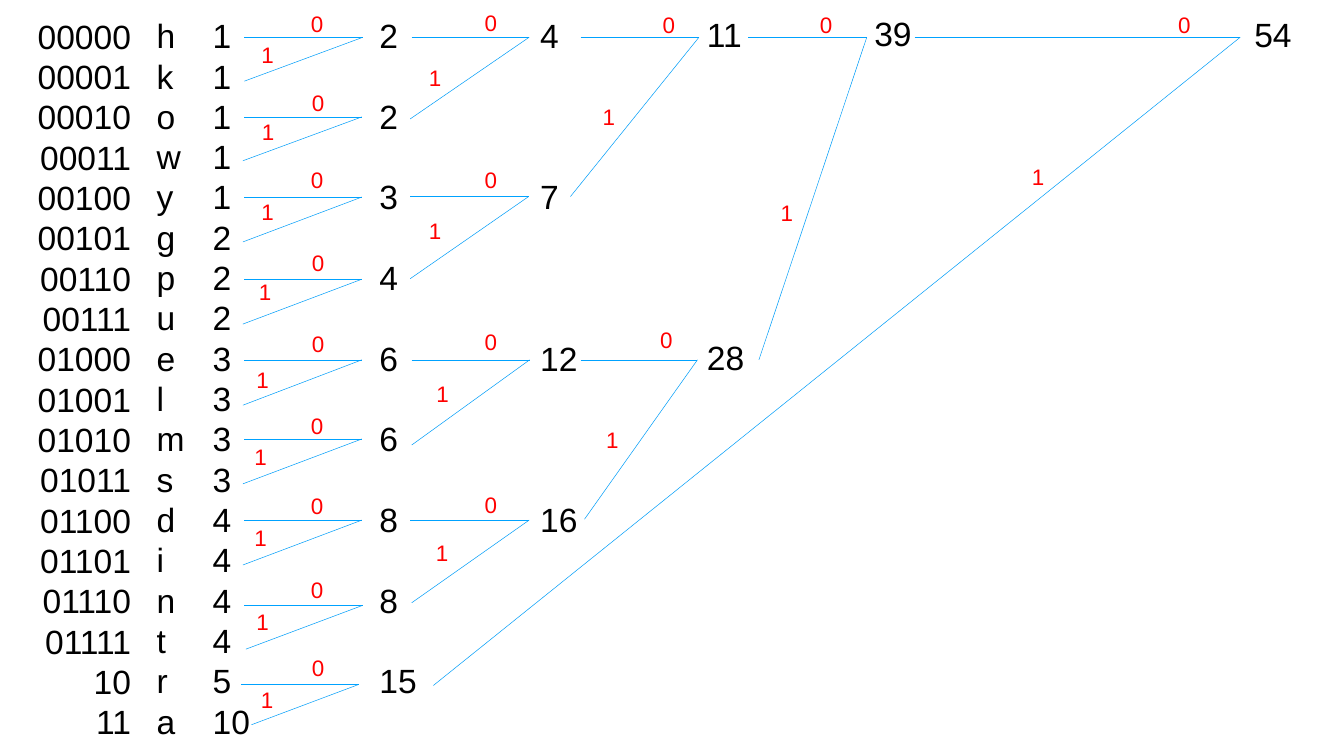
from dataclasses import dataclass

from lxml import etree
from pptx import Presentation
from pptx.dml.color import RGBColor
from pptx.enum import shapes, text
from pptx.oxml import ns
from pptx.util import Inches, Pt


@dataclass(frozen=True)
class Theme:
    """Fonts, type sizes and colours of the slide."""
    font: str = "Arial"
    value_size: float = 48
    row_pitch: float = 57.6
    bit_size: float = 32
    line_width: float = 0.75
    value: RGBColor = RGBColor(0, 0, 0)
    bit: RGBColor = RGBColor(0xFF, 0, 0)
    zero_branch: RGBColor = RGBColor(0x00, 0xA2, 0xFF)
    one_branch: RGBColor = RGBColor(0x00, 0x9E, 0xF9)


THEME = Theme()
COLUMN_HEIGHT = 14.65
TOTAL_WIDTH = 0.9

CODES = [f"{number:05b}" for number in range(16)] + ["10", "11"]
LETTERS = "hkowygpuelmsdintra"
COUNTS = [1, 1, 1, 1, 1, 2, 2, 2, 3, 3, 3, 3, 4, 4, 4, 4, 5, 10]
PAIR_TOTALS = [2, 2, 3, 4, 6, 6, 8, 8, 15]

COLUMNS = [
    (0.67, 0.18, 1.99, dict(enumerate(CODES))),
    (3.05, 0.17, 0.67, dict(enumerate(LETTERS))),
    (4.16, 0.17, 1.05, dict(enumerate(COUNTS))),
    (7.47, 0.17, TOTAL_WIDTH, dict(zip(range(0, 18, 2), PAIR_TOTALS))),
    (10.66, 0.17, TOTAL_WIDTH, {0: 4, 4: 7, 8: 12, 12: 16}),
    (13.97, 0.15, TOTAL_WIDTH, {0: 11, 8: 28}),
    (17.29, 0.13, TOTAL_WIDTH, {0: 39}),
    (24.83, 0.15, TOTAL_WIDTH, {0: 54}),
]

MERGES = [
    (4.85, 7.2, 0.74, (4.85, 1.61), (6.07, 0.16), (5.09, 0.76)),
    (4.85, 7.18, 2.32, (4.82, 3.19), (6.09, 1.71), (5.1, 2.3)),
    (4.85, 7.18, 3.91, (4.82, 4.8), (6.07, 3.24), (5.09, 3.88)),
    (4.85, 7.18, 5.54, (4.82, 6.43), (6.09, 4.89), (5.04, 5.47)),
    (4.85, 7.18, 7.14, (4.82, 8.04), (6.09, 6.5), (4.99, 7.21)),
    (4.85, 7.18, 8.71, (4.82, 9.6), (6.07, 8.13), (4.95, 8.75)),
    (4.85, 7.18, 10.32, (4.82, 11.21), (6.07, 9.71), (4.95, 10.36)),
    (4.85, 7.2, 12.01, (4.88, 12.88), (6.07, 11.39), (4.99, 12.01)),
    (4.78, 7.12, 13.58, (4.99, 14.38), (6.09, 12.93), (5.08, 13.57)),
    (8.17, 10.5, 0.74, (8.14, 2.36), (9.52, 0.13), (8.41, 1.23)),
    (8.14, 10.49, 3.9, (8.14, 5.53), (9.52, 3.24), (8.41, 4.25)),
    (8.17, 10.51, 7.14, (8.17, 8.83), (9.52, 6.47), (8.56, 7.5)),
    (8.14, 10.5, 10.32, (8.17, 11.96), (9.52, 9.69), (8.55, 10.65)),
    (11.52, 13.87, 0.74, (11.32, 3.9), (13.05, 0.17), (11.86, 2)),
    (11.52, 13.84, 7.14, (11.6, 10.3), (13, 6.42), (11.93, 8.41)),
    (14.85, 17.2, 0.74, (15.06, 7.14), (16.17, 0.17), (15.39, 3.91)),
    (18.15, 24.61, 0.74, (8.6, 13.6), (23.28, 0.17), (20.38, 3.19)),
]


def style(paragraph, size, color):
    """Give a paragraph the theme font at one size and colour."""
    paragraph.font.name = THEME.font
    paragraph.font.size = Pt(size)
    paragraph.font.color.rgb = color


def add_column(slide, left, top, width, values):
    """Place values by row number in one column of text."""
    box = slide.shapes.add_textbox(
        Inches(left), Inches(top), Inches(width), Inches(COLUMN_HEIGHT))
    frame = box.text_frame
    frame.word_wrap = False
    frame.margin_left = frame.margin_right = frame.margin_bottom = Inches(0.06)
    frame.margin_top = Inches(0.13)
    frame.text = "\n".join(str(value) for value in values.values())
    previous_row = -1
    for paragraph, row in zip(frame.paragraphs, values):
        style(paragraph, THEME.value_size, THEME.value)
        paragraph.line_spacing = Pt(THEME.row_pitch)
        paragraph.space_before = Pt((row - previous_row - 1) * THEME.row_pitch)
        if values[row] in CODES:
            paragraph.alignment = text.PP_ALIGN.RIGHT
        previous_row = row


def add_branch(slide, start, tip, color):
    """Draw a thin line from a start point to the tip of a merge."""
    branch = slide.shapes.add_connector(
        shapes.MSO_CONNECTOR.STRAIGHT, *map(Inches, start + tip))
    branch.line.color.rgb = color
    branch.line.width = Pt(THEME.line_width)
    etree.SubElement(branch._element.spPr, ns.qn("a:effectLst"))


def add_bit(slide, position, bit):
    """Write the code bit of a branch."""
    box = slide.shapes.add_textbox(*map(Inches, position + (0.65, 0.64)))
    box.text_frame.word_wrap = True
    box.text_frame.text = bit
    style(box.text_frame.paragraphs[0], THEME.bit_size, THEME.bit)


def add_merge(slide, start_x, tip_x, y, lower_start, zero_label, one_label):
    """Join two nodes with a zero branch and a one branch."""
    add_branch(slide, (start_x, y), (tip_x, y), THEME.zero_branch)
    add_branch(slide, lower_start, (tip_x, y), THEME.one_branch)
    add_bit(slide, zero_label, "0")
    add_bit(slide, one_label, "1")


def build_code_tree(presentation):
    """Build the slide with the columns and the merges of the code tree."""
    slide = presentation.slides.add_slide(presentation.slide_layouts[6])
    for column in COLUMNS:
        add_column(slide, *column)
    for merge in MERGES:
        add_merge(slide, *merge)


def main():
    """Create and save the presentation."""
    presentation = Presentation()
    presentation.slide_width = Inches(26.67)
    presentation.slide_height = Inches(15)
    build_code_tree(presentation)
    presentation.save("out.pptx")


main()
